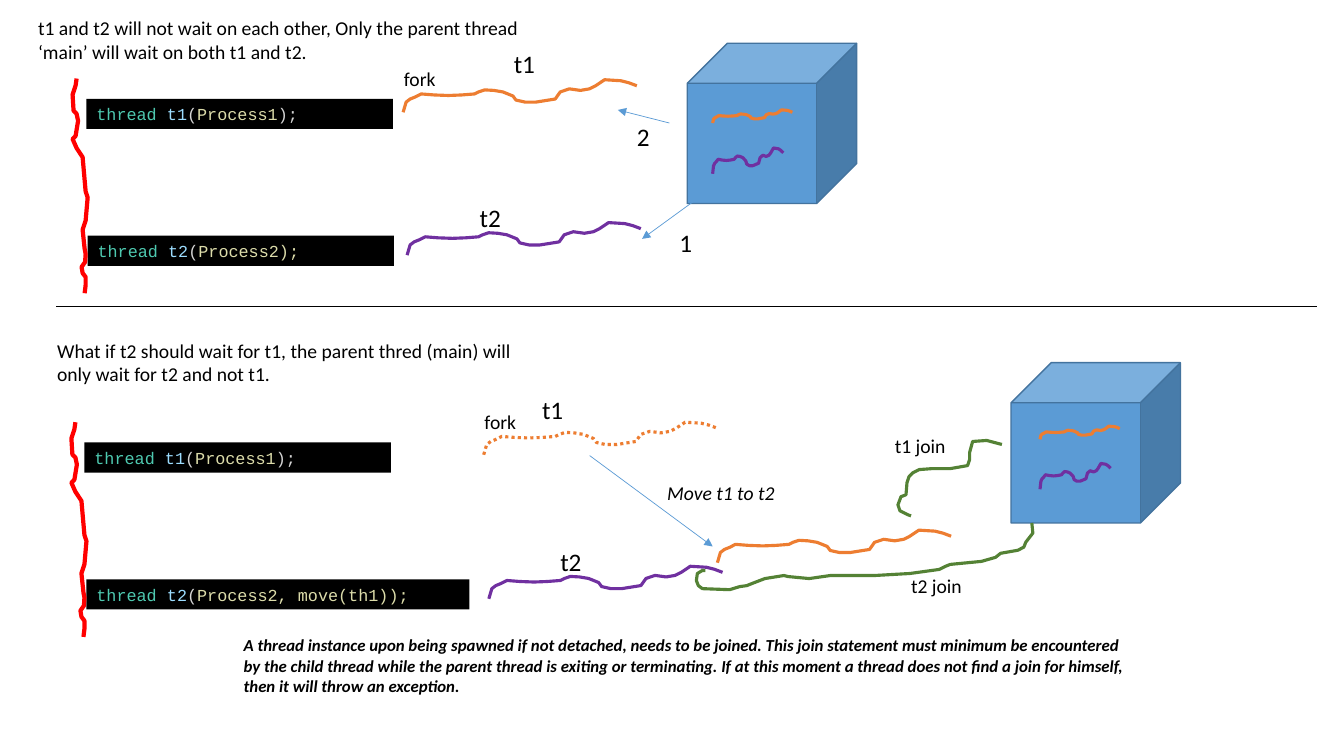
from lxml import etree
from pptx import Presentation
from pptx.dml.color import RGBColor
from pptx.enum.dml import MSO_LINE
from pptx.enum.shapes import MSO_CONNECTOR, MSO_SHAPE
from pptx.enum.text import MSO_ANCHOR, MSO_AUTO_SIZE, PP_ALIGN
from pptx.oxml.ns import qn
from pptx.util import Cm, Pt

STRAIGHT = MSO_CONNECTOR.STRAIGHT
RECT, CUBE = MSO_SHAPE.RECTANGLE, MSO_SHAPE.CUBE
DOTS = MSO_LINE.ROUND_DOT
LEFT, MIDDLE = PP_ALIGN.LEFT, MSO_ANCHOR.MIDDLE
FIT = MSO_AUTO_SIZE.SHAPE_TO_FIT_TEXT

BLACK, BLUE, EDGE = "000000", "5B9BD5", "43739E"
ORANGE, PURPLE, GREEN, RED = "ED7D31", "7030A0", "548235", "FF0000"
TEAL, SKY, GREY, SAND = "4EC9B0", "9CDCFE", "D4D4D4", "DCDCAA"

# left, top, width, coloured pieces of code
CODES = [
    (2.18, 2.49, 7.72, [("t1", SKY), ("(", GREY), ("Process1", SAND), (");", GREY)]),
    (2.21, 5.94, 7.72, [("t2", SKY), ("(", GREY), ("Process2);", SAND)]),
    (2.13, 11.15, 7.72, [("t1", SKY), ("(", GREY), ("Process1", SAND), (");", GREY)]),
    (2.18, 14.6, 9.65, [("t2", SKY), ("(", GREY), ("Process2, move(th1));", SAND)]),
]

# text, left, top, width, height, size, bold, italic
LABELS = [
    ("fork", 9.93, 1.57, 3.28, 0.86, 14, False, False),
    ("t1", 12.7, 1.09, 2.16, 1.02, 18, False, False),
    ("t2", 11.84, 4.98, 2.16, 1.02, 18, False, False),
    ("1", 16.87, 5.61, 0.89, 1.02, 18, False, False),
    ("2", 15.8, 2.92, 0.89, 1.02, 18, False, False),
    ("t1 and t2 will not wait on each other, Only the parent thread "
     "‘main’ will wait on both t1 and t2.",
     0.71, 0.28, 12.78, 1.45, 14, False, False),
    ("What if t2 should wait for t1, the parent thred (main) will "
     "only wait for t2 and not t1.",
     1.19, 8.41, 12.78, 1.45, 14, False, False),
    ("fork", 11.96, 10.21, 3.28, 0.86, 14, False, False),
    ("t2", 13.87, 13.64, 2.16, 1.02, 18, False, False),
    ("t1 join", 22.3, 10.82, 3.28, 0.86, 14, False, False),
    ("t2 join", 22.71, 14.33, 3.28, 0.86, 14, False, False),
    ("t1", 13.41, 9.8, 2.16, 1.02, 18, False, False),
    ("Move t1 to t2", 16.56, 11.99, 3.28, 0.86, 14, False, True),
    ("A thread instance upon being spawned if not detached, needs to be "
     "joined. This join statement must minimum be encountered by the child "
     "thread while the parent thread is exiting or terminating. If at this "
     "moment a thread does not find a join for himself, then it will throw "
     "an exception.",
     5.89, 15.88, 22.81, 1.8, 12, True, True),
]

CUBES = [(17.32, 1.09), (25.48, 9.14)]

# start x, start y, end x, end y
RULE = (1.42, 7.72, 33.2, 7.72)
ARROWS = [
    (18.42, 4.39, 16.18, 6.02),
    (16.87, 3.1, 15.57, 2.77),
    (14.86, 11.48, 17.96, 13.77),
]

# Outlines on free grids; each is stretched to the size asked for
WAVE = [(0, 32), (3, 22), (7, 19), (12, 17), (18, 14), (31, 15), (45, 15.5),
        (58, 15), (71, 14), (75, 12), (81, 10), (90, 10.5), (99, 12),
        (104, 14), (109, 16), (112, 20), (121, 22), (132, 22), (151, 19),
        (156, 12), (165, 9), (176, 10.5), (185, 9), (191, 6), (200, 0),
        (216, 1), (224, 3), (232, 6)]
MAIN = [(4, 0), (3, 7), (0, 16), (1, 32), (4, 35), (5.5, 42), (4, 51), (3, 57),
        (0, 60), (4, 69), (10, 78), (13, 112), (15, 118), (13, 141), (10, 150),
        (12, 169), (13, 174), (12.5, 182), (9, 187), (10, 193), (13, 197),
        (13, 205), (12, 213)]
JOIN1 = [(103, 4), (88, 0), (74, 1), (71, 12), (71, 19), (69, 25), (52, 28),
         (34, 28), (21, 29), (15, 32), (11, 36), (9, 42), (8, 54), (3, 56),
         (0, 64), (2, 70), (6, 72), (10, 74), (13, 75)]
JOIN2 = [(333, 0), (334, 10), (327, 19), (325, 24), (319, 27), (302, 30),
         (297, 34), (283, 38), (252, 41), (247, 43), (241, 46), (212, 50),
         (177, 52), (146, 52), (133, 52), (112, 55), (91, 53), (87, 52),
         (68, 55), (55, 60), (50, 62), (43, 63), (33, 66), (6, 65), (2, 62),
         (0, 57), (1, 50), (6, 47), (9, 47)]

LONG, SHORT, STEEP, TALL = (5.89, 0.82), (2.01, 0.33), (1.78, 0.65), (0.38, 5.41)

# outline, left, top, size, colour, weight, dash
THREADS = [
    (WAVE, 10.16, 2.01, LONG, ORANGE, 2.25, None),
    (WAVE, 10.26, 5.61, LONG, PURPLE, 2.25, None),
    (WAVE, 17.96, 2.77, SHORT, ORANGE, 2.25, None),
    (WAVE, 17.96, 3.73, STEEP, PURPLE, 2.25, None),
    (WAVE, 12.19, 10.64, LONG, ORANGE, 2.25, DOTS),
    (WAVE, 12.32, 14.27, LONG, PURPLE, 2.25, None),
    (WAVE, 18.08, 13.36, LONG, ORANGE, 2.25, None),
    (WAVE, 26.21, 10.74, SHORT, ORANGE, 2.25, None),
    (WAVE, 26.21, 11.68, STEEP, PURPLE, 2.25, None),
    (JOIN1, 22.63, 11.1, (2.62, 1.9), GREEN, 2.25, None),
    (JOIN2, 17.55, 13.18, (8.48, 1.68), GREEN, 2.25, None),
    (MAIN, 1.83, 1.98, TALL, RED, 3, None),
    (MAIN, 1.8, 10.64, TALL, RED, 3, None),
]


def paint(part, colour):
    """Give a fill or a font one solid colour."""
    if hasattr(part, "solid"):
        part.solid()
        part.fore_color.rgb = RGBColor.from_string(colour)
    else:
        part.color.rgb = RGBColor.from_string(colour)


def stroke(shape, colour, weight):
    paint(shape.line.fill, colour)
    shape.line.width = Pt(weight)


def add_block(kind, left, top, width, height, colour):
    block = shapes.add_shape(kind, Cm(left), Cm(top), Cm(width), Cm(height))
    block.shadow.inherit = False
    paint(block.fill, colour)
    return block


def add_code(left, top, width, pieces):
    box = add_block(RECT, left, top, width, 0.76, BLACK)
    box.line.fill.background()
    frame = box.text_frame
    frame.word_wrap = True
    frame.vertical_anchor = MIDDLE
    line = frame.paragraphs[0]
    line.alignment = LEFT
    line.font.name, line.font.size = "Courier New", Pt(12)
    for text, colour in [("thread ", TEAL)] + pieces:
        run = line.add_run()
        run.text = text
        paint(run.font, colour)


def add_label(text, left, top, width, height, size, bold, italic):
    box = shapes.add_textbox(Cm(left), Cm(top), Cm(width), Cm(height))
    frame = box.text_frame
    frame.word_wrap = True
    frame.auto_size = FIT
    line = frame.paragraphs[0]
    line.text = text
    font = line.font
    font.name, font.size = "Calibri", Pt(size)
    font.bold, font.italic = bold, italic
    paint(font, BLACK)


def add_line(ends, colour, arrow=False):
    line = shapes.add_connector(STRAIGHT, *[Cm(end) for end in ends])
    stroke(line, colour, 0.5)
    etree.SubElement(line._element.spPr, qn("a:effectLst"))
    if arrow:
        etree.SubElement(line.line._get_or_add_ln(), qn("a:tailEnd"), type="triangle")


def add_thread(knots, left, top, size, colour, weight, dash):
    """Stretch the knots to the size and draw them as an open line."""
    wide, high = (max(axis) for axis in zip(*knots))
    spots = [(Cm(left + x / wide * size[0]), Cm(top + y / high * size[1]))
             for x, y in knots]
    pen = shapes.build_freeform(*spots[0])
    pen.add_line_segments(spots[1:], close=False)
    thread = pen.convert_to_shape()
    thread.shadow.inherit = False
    thread.fill.background()
    stroke(thread, colour, weight)
    if dash:
        thread.line.dash_style = dash


deck = Presentation()
deck.slide_width, deck.slide_height = Cm(33.87), Cm(19.05)
shapes = deck.slides.add_slide(deck.slide_layouts[6]).shapes

add_line(RULE, BLACK)
for code in CODES:
    add_code(*code)
for left, top in CUBES:
    stroke(add_block(CUBE, left, top, 4.27, 4.04, BLUE), EDGE, 1)
for arrow in ARROWS:
    add_line(arrow, BLUE, arrow=True)
for thread in THREADS:
    add_thread(*thread)
for label in LABELS:
    add_label(*label)

deck.save("out.pptx")
